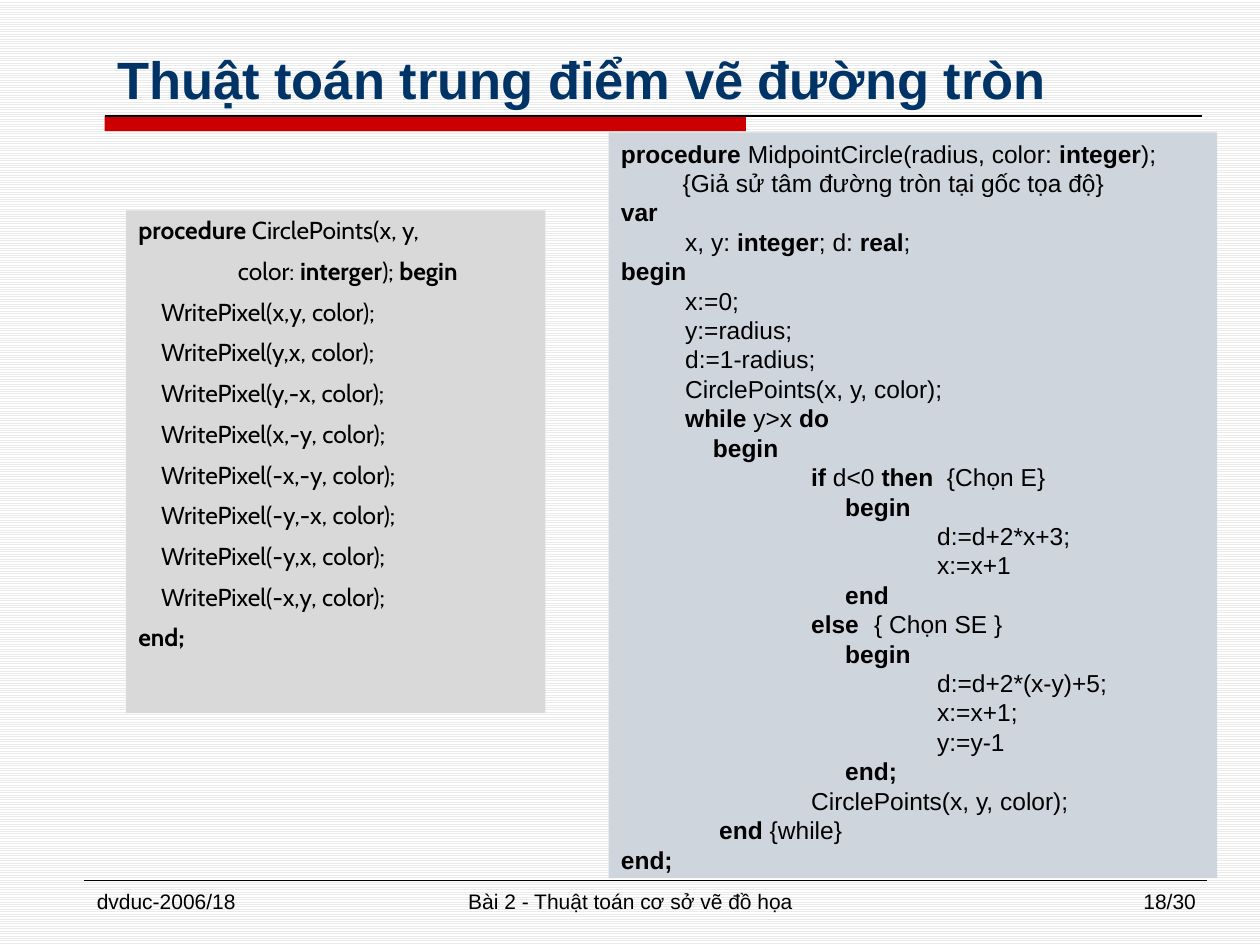
from pptx import Presentation
from pptx.dml.color import RGBColor
from pptx.enum.dml import MSO_PATTERN
from pptx.enum.shapes import MSO_CONNECTOR as CONN, MSO_SHAPE as SHAPE
from pptx.enum.text import MSO_ANCHOR as ANCHOR, MSO_AUTO_SIZE as AUTO, PP_ALIGN as ALIGN
from pptx.oxml.ns import qn
from pptx.util import Inches, Pt
from lxml import etree

COLORS = {
    "text": "000000", "title": "003366", "bar": "CC0000", "rule": "000000",
    "points": "D9D9D9", "midpoint": "CED5DD", "stripe": "EAEAEA", "paper": "FFFFFF",
}


def rgb(name):
    return RGBColor.from_string(COLORS[name])


def write(p, text, size=14, font="Arial", color="text", bold=False,
          align=ALIGN.LEFT, indent=0, before=0, spacing=1.0):
    p.alignment = align
    p.space_before = Pt(before)
    p.line_spacing = spacing
    pPr = p._p.get_or_add_pPr()
    pPr.set("marL", str(Inches(indent)))
    pPr.set("indent", "0")
    for i, part in enumerate(text.split("**")):
        if part:
            r = p.add_run()
            r.text = part
            r.font.size = Pt(size)
            r.font.name = font
            r.font.bold = bold or i % 2 == 1
            r.font.color.rgb = rgb(color)


class Deck:
    def __init__(self, prs):
        self.s = prs.slides.add_slide(prs.slide_layouts[5])
        fill = self.s.background.fill
        fill.patterned()
        fill.pattern = MSO_PATTERN.LIGHT_HORIZONTAL
        fill.fore_color.rgb = rgb("stripe")
        fill.back_color.rgb = rgb("paper")

    def title(self, text, x, y, w, h):
        sp = self.s.shapes.title
        sp.left, sp.top, sp.width, sp.height = map(Inches, (x, y, w, h))
        tf = sp.text_frame
        tf.auto_size = AUTO.NONE
        tf.word_wrap = True
        tf.vertical_anchor = ANCHOR.BOTTOM
        write(tf.paragraphs[0], text, size=30, color="title", bold=True)

    def label(self, text, x, y, w, h, align):
        tf = self.s.shapes.add_textbox(*map(Inches, (x, y, w, h))).text_frame
        tf.word_wrap = True
        write(tf.paragraphs[0], text, size=12, align=align)

    def rect(self, x, y, w, h, color):
        sp = self.s.shapes.add_shape(SHAPE.RECTANGLE, *map(Inches, (x, y, w, h)))
        sp.shadow.inherit = False
        sp.fill.solid()
        sp.fill.fore_color.rgb = rgb(color)
        sp.line.fill.background()
        return sp

    def rule(self, x1, x2, y, width):
        line = self.s.shapes.add_connector(CONN.STRAIGHT, *map(Inches, (x1, y, x2, y)))
        line.line.color.rgb = rgb("rule")
        line.line.width = Pt(width)
        etree.SubElement(line._element.spPr, qn("a:effectLst"))

    def code(self, lines, x, y, w, h, color, before=0, **style):
        tf = self.rect(x, y, w, h, color).text_frame
        tf.word_wrap = True
        tf.vertical_anchor = ANCHOR.TOP
        for i, (indent, text) in enumerate(lines):
            p = tf.add_paragraph() if i else tf.paragraphs[0]
            write(p, text, indent=indent, before=before if i else 0, **style)


POINTS = ["x,y", "y,x", "y,-x", "x,-y", "-x,-y", "-y,-x", "-y,x", "-x,y"]
CIRCLE_POINTS = [
    (0, "**procedure** CirclePoints(x, y,"),
    (0.79, "color: **interger**); **begin**"),
    *[(0.18, f"WritePixel({xy}, color);") for xy in POINTS],
    (0, "**end;**"),
]

BODY, LOOP, BRANCH, BLOCK, STEP = 0.51, 0.73, 1.51, 1.78, 2.51
MIDPOINT_CIRCLE = [
    (0, "**procedure** MidpointCircle(radius, color: **integer**);"),
    (0.49, "{Giả sử tâm đường tròn tại gốc tọa độ}"),
    (0, "**var**"),
    (BODY, "x, y: **integer**; d: **real**;"),
    (0, "**begin**"),
    (BODY, "x:=0;"),
    (BODY, "y:=radius;"),
    (BODY, "d:=1-radius;"),
    (BODY, "CirclePoints(x, y, color);"),
    (BODY, "**while** y>x **do**"),
    (LOOP, "**begin**"),
    (BRANCH, "**if** d<0 **then ** {Chọn E}"),
    (BLOCK, "**begin**"),
    (STEP, "d:=d+2*x+3;"),
    (STEP, "x:=x+1"),
    (BLOCK, "**end**"),
    (BRANCH, "**else**\t{ Chọn SE }"),
    (BLOCK, "**begin**"),
    (STEP, "d:=d+2*(x-y)+5;"),
    (STEP, "x:=x+1;"),
    (STEP, "y:=y-1"),
    (BLOCK, "**end;**"),
    (BRANCH, "CirclePoints(x, y, color);"),
    (0.78, "**end** {while}"),
    (0, "**end;**"),
]

prs = Presentation()
prs.slide_width, prs.slide_height = Inches(10), Inches(7.5)
deck = Deck(prs)
deck.rect(0.83, 0.92, 5.09, 0.12, "bar")
deck.rule(0.83, 9.54, 0.92, 0.75)
deck.rule(0.67, 9.58, 6.99, 0.25)
deck.title("Thuật toán trung điểm vẽ đường tròn", 0.83, 0.17, 9, 0.75)
deck.code(CIRCLE_POINTS, 1, 1.67, 3.33, 3.99, "points",
          before=6.8, font="Cabin", spacing=0.98)
deck.code(MIDPOINT_CIRCLE, 4.83, 1.05, 4.83, 5.92, "midpoint")
for text, x, w, align in [
    ("dvduc-2006/18", 0.67, 2.17, ALIGN.LEFT),
    ("Bài 2 - Thuật toán cơ sở vẽ đồ họa", 3.42, 3.17, ALIGN.CENTER),
    ("18/30", 7.42, 2.17, ALIGN.RIGHT),
]:
    deck.label(text, x, 7, w, 0.35, align)
prs.save("out.pptx")
